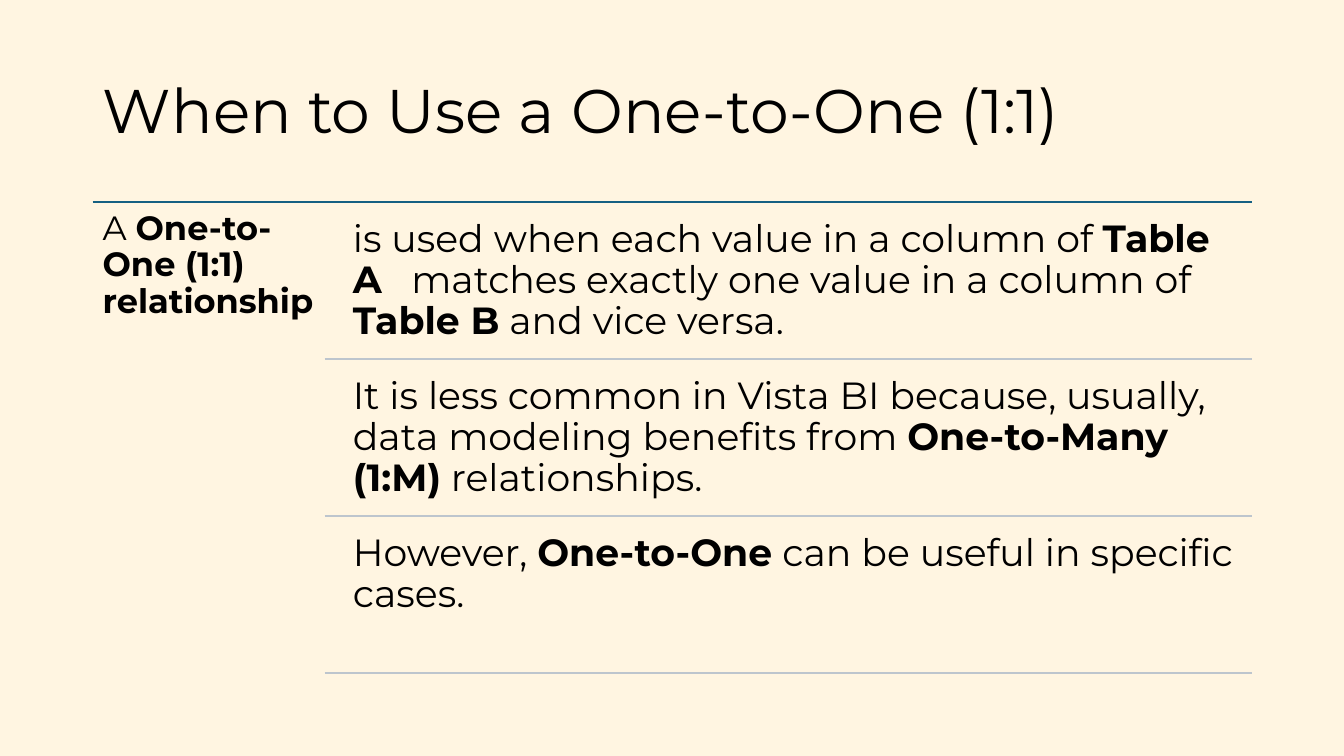
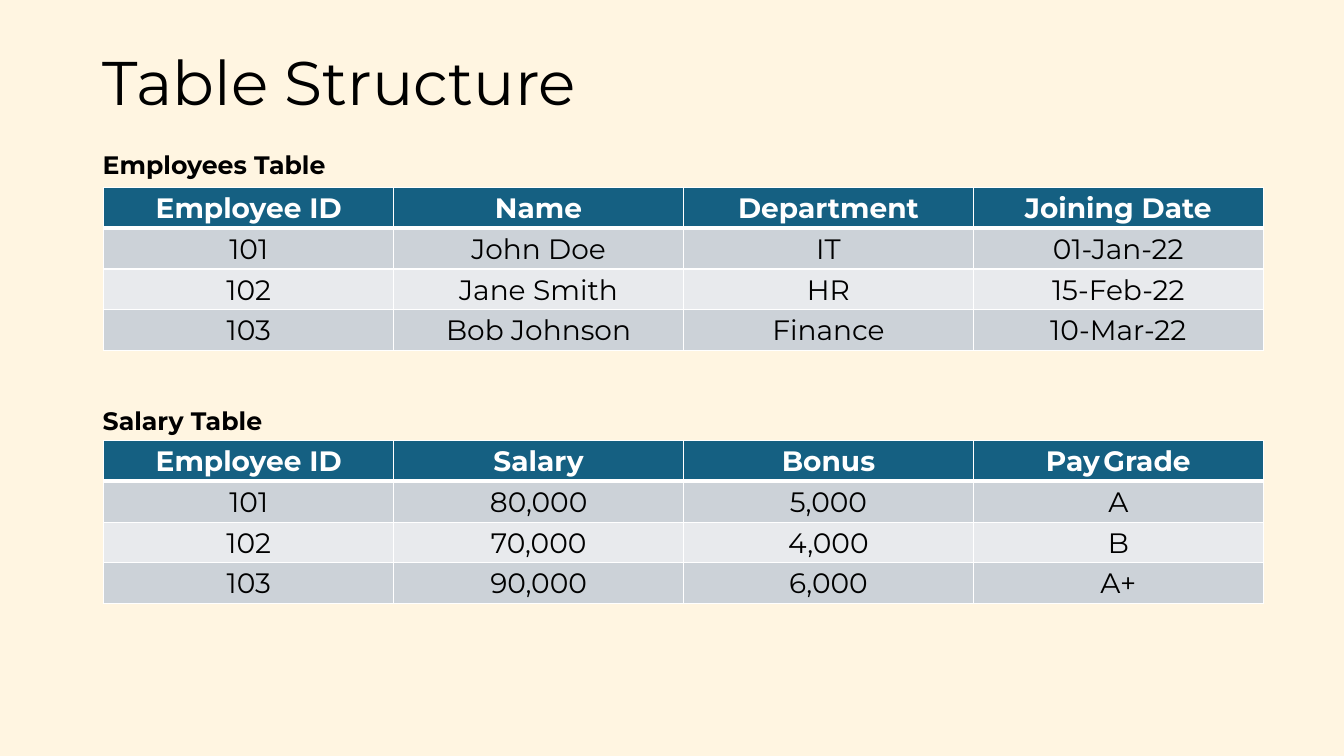
"""Build two slides on one-to-one table relationships."""
from dataclasses import dataclass

from lxml.etree import SubElement
from pptx import Presentation
from pptx.dml.color import RGBColor
from pptx.enum.shapes import MSO_CONNECTOR
from pptx.enum.text import MSO_ANCHOR, MSO_AUTO_SIZE, PP_ALIGN
from pptx.oxml.ns import qn
from pptx.presentation import Presentation as Deck
from pptx.slide import Slide
from pptx.table import _Cell as Cell
from pptx.text.text import _Paragraph as Paragraph
from pptx.util import Inches, Pt

COLORS = {
    "background": "FFF5E1",
    "text": "000000",
    "accent": "156082",
    "rule": "BDC5CD",
    "white": "FFFFFF",
    "dark_band": "CCD2D8",
    "light_band": "E8EAED",
}
FONT = "Montserrat"
LEFT = 0.92
CONTENT_WIDTH = 11.5
RIGHT = LEFT + CONTENT_WIDTH


@dataclass(frozen=True)
class Span:
    text: str
    bold: bool = False
    size: float | None = None
    font: str = FONT
    tracking: int = 0


@dataclass(frozen=True)
class DataTable:
    label: str
    label_top: float
    top: float
    rows: list[list[str | list[Span]]]


DEFINITION = [Span("A "), Span("One-to-One (1:1) relationship", bold=True)]
POINTS = [
    [
        Span("is used when each value in a column of "),
        Span("Table A", bold=True),
        Span(" ", tracking=14),
        Span("matches exactly one value in a column of "),
        Span("Table B", bold=True),
        Span(" and vice versa."),
    ],
    [
        Span("It is less common in Vista BI because, usually, data modeling benefits from "),
        Span("One-to-Many (1:M)", bold=True),
        Span(" relationships."),
    ],
    [
        Span("However, "),
        Span("One-to-One", bold=True),
        Span(" can be useful in specific cases."),
    ],
]
PAY_GRADE = [
    Span("Pay", bold=True),
    Span(" ", bold=True, size=11, font="Roboto Condensed"),
    Span("Grade", bold=True),
]
TABLES = [
    DataTable("Employees Table", 1.43, 1.86, [
        ["Employee ID", "Name", "Department", "Joining Date"],
        ["101", "John Doe", "IT", "01-Jan-22"],
        ["102", "Jane Smith", "HR", "15-Feb-22"],
        ["103", "Bob Johnson", "Finance", "10-Mar-22"],
    ]),
    DataTable("Salary Table", 3.97, 4.37, [
        ["Employee ID", "Salary", "Bonus", PAY_GRADE],
        ["101", "80,000", "5,000", "A"],
        ["102", "70,000", "4,000", "B"],
        ["103", "90,000", "6,000", "A+"],
    ]),
]


def rgb(name: str) -> RGBColor:
    return RGBColor.from_string(COLORS[name])


def write_spans(para: Paragraph, spans: list[Span], size: float, color: str = "text") -> None:
    for span in spans:
        run = para.add_run()
        run.text = span.text
        run.font.name = span.font
        run.font.size = Pt(span.size or size)
        run.font.bold = span.bold
        run.font.color.rgb = rgb(color)
        if span.tracking:
            run.font._element.set("spc", str(span.tracking * 100))


def add_titled_slide(deck: Deck, text: str, height: float) -> Slide:
    slide = deck.slides.add_slide(deck.slide_layouts[5])
    title = slide.shapes.title
    title.left, title.top = Inches(LEFT), Inches(0.4)
    title.width, title.height = Inches(CONTENT_WIDTH), Inches(height)
    frame = title.text_frame
    frame.auto_size = MSO_AUTO_SIZE.NONE
    frame.vertical_anchor = MSO_ANCHOR.MIDDLE
    para = frame.paragraphs[0]
    para.alignment = PP_ALIGN.LEFT
    para.line_spacing = 0.9
    write_spans(para, [Span(text)], 44)
    return slide


def add_text(slide: Slide, left: float, top: float, width: float, height: float,
             spans: list[Span], size: float, inset: float = 0.05,
             line_spacing: float = 1.0) -> None:
    box = slide.shapes.add_textbox(Inches(left), Inches(top), Inches(width), Inches(height))
    frame = box.text_frame
    frame.word_wrap = True
    frame.margin_left = frame.margin_right = Inches(max(inset, 0.1))
    frame.margin_top = frame.margin_bottom = Inches(inset)
    para = frame.paragraphs[0]
    para.line_spacing = line_spacing
    write_spans(para, spans, size)


def add_rule(slide: Slide, left: float, top: float, color: str) -> None:
    rule = slide.shapes.add_connector(
        MSO_CONNECTOR.STRAIGHT, Inches(left), Inches(top), Inches(RIGHT), Inches(top))
    rule.line.color.rgb = rgb(color)
    rule.line.width = Pt(1.5)
    SubElement(rule._element.spPr, qn("a:effectLst"))


def set_borders(cell: Cell, top: float, bottom: float) -> None:
    properties = cell._tc.get_or_add_tcPr()
    for side, width in (("L", 1), ("R", 1), ("T", top), ("B", bottom)):
        line = SubElement(properties, qn(f"a:ln{side}"), w=str(Pt(width)))
        fill = SubElement(line, qn("a:solidFill"))
        SubElement(fill, qn("a:srgbClr"), val=COLORS["white"])


def format_cell(cell: Cell, content: str | list[Span], row: int) -> None:
    header = row == 0
    set_borders(cell, top=3 if row == 1 else 1, bottom=3 if header else 1)
    cell.fill.solid()
    band = "dark_band" if row % 2 else "light_band"
    cell.fill.fore_color.rgb = rgb("accent" if header else band)
    cell.vertical_anchor = MSO_ANCHOR.MIDDLE
    cell.margin_left = cell.margin_right = cell.margin_top = Inches(0.01)
    cell.margin_bottom = 0
    para = cell.text_frame.paragraphs[0]
    para.alignment = PP_ALIGN.CENTER
    spans = [Span(content, bold=header)] if isinstance(content, str) else content
    write_spans(para, spans, 20, "white" if header else "text")


def add_data_table(slide: Slide, data: DataTable) -> None:
    add_text(slide, LEFT, data.label_top, 2.58, 0.4, [Span(data.label, bold=True)], 18)
    table = slide.shapes.add_table(
        len(data.rows), len(data.rows[0]), Inches(1.03), Inches(data.top),
        Inches(CONTENT_WIDTH), Inches(1.62)).table
    for row, contents in enumerate(data.rows):
        for column, content in enumerate(contents):
            format_cell(table.cell(row, column), content, row)


def build_usage_slide(deck: Deck) -> None:
    slide = add_titled_slide(deck, "When to Use a One-to-One (1:1)", 1.45)
    first_top, step, gap = 2, 1.56, 0.07
    add_rule(slide, LEFT, first_top, "accent")
    add_text(slide, LEFT, first_top, 2.3, 4.76, DEFINITION, 24, 0.1, 0.9)
    for index, spans in enumerate(POINTS):
        top = first_top + index * step
        add_text(slide, 3.39, top + gap, 9.03, step - gap, spans, 27, 0.11, 0.9)
        add_rule(slide, 3.22, top + step, "rule")


def build_tables_slide(deck: Deck) -> None:
    slide = add_titled_slide(deck, "Table Structure", 0.9)
    for data in TABLES:
        add_data_table(slide, data)


def main() -> None:
    deck = Presentation()
    deck.slide_width, deck.slide_height = Inches(13.33), Inches(7.5)
    background = deck.slide_master.background.fill
    background.solid()
    background.fore_color.rgb = rgb("background")
    build_usage_slide(deck)
    build_tables_slide(deck)
    deck.save("out.pptx")


if __name__ == "__main__":
    main()
